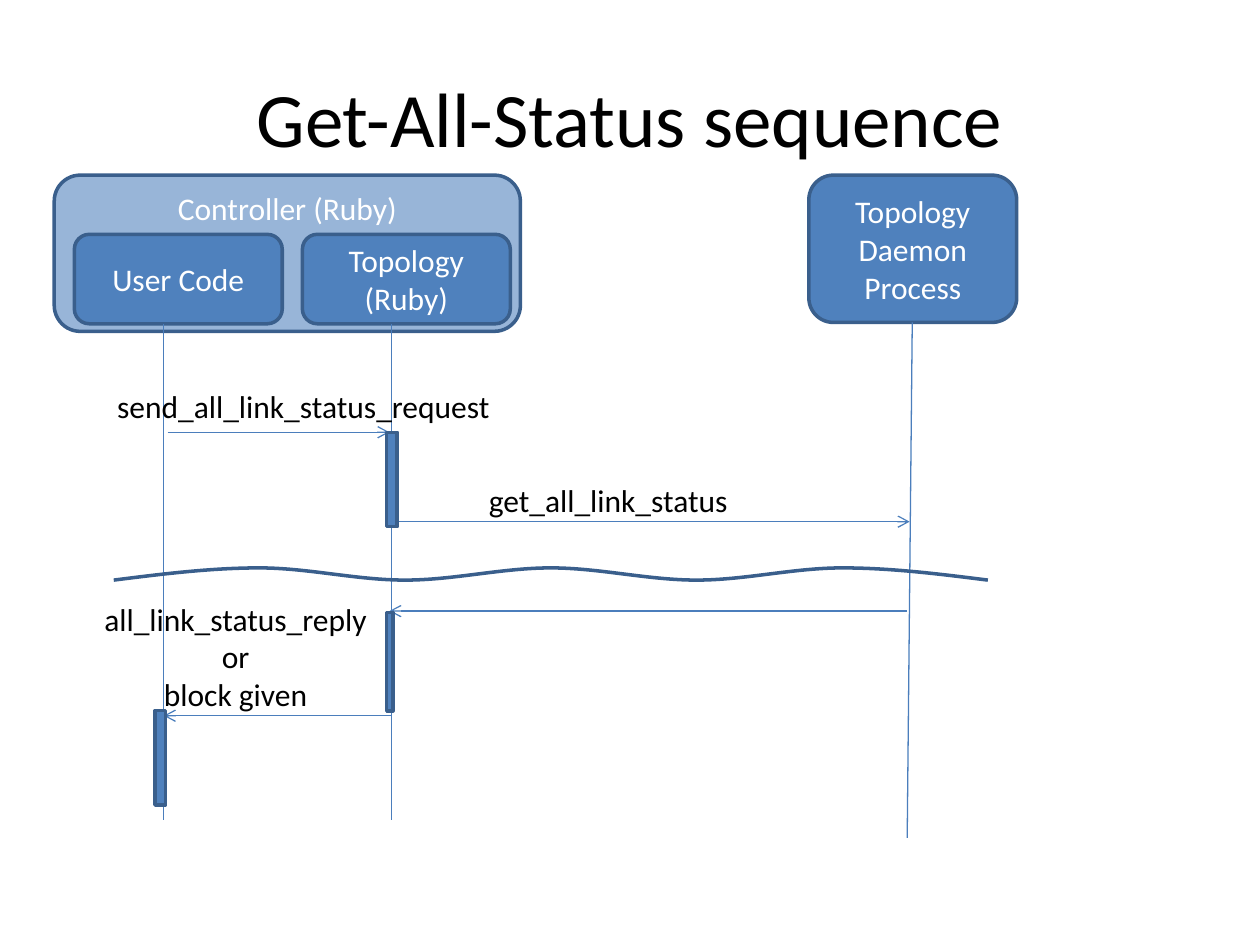
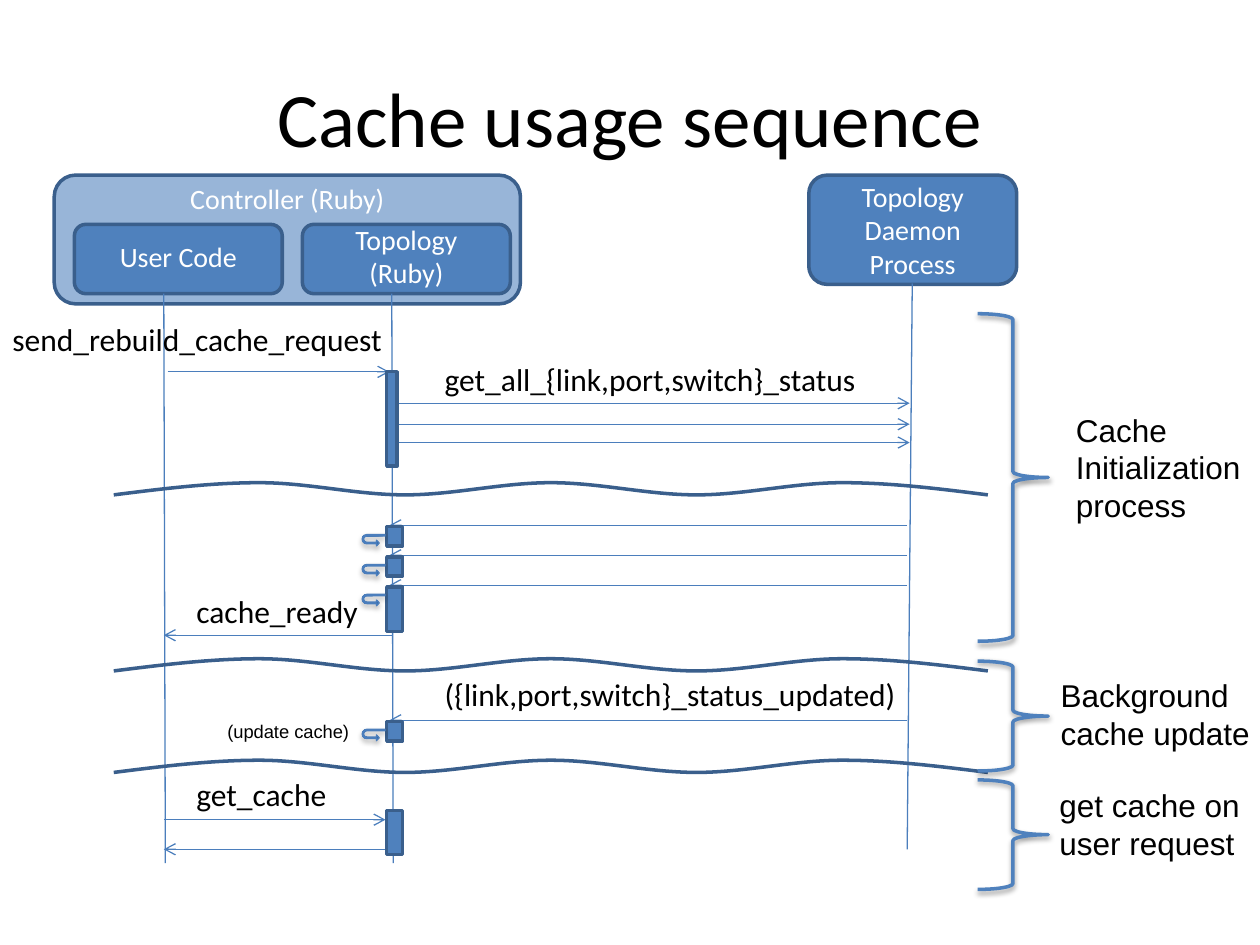
from pptx import Presentation
from pptx.dml.color import RGBColor
from pptx.enum.shapes import MSO_CONNECTOR, MSO_SHAPE
from pptx.enum.text import MSO_ANCHOR, MSO_AUTO_SIZE, PP_ALIGN
from pptx.oxml.ns import qn
from pptx.util import Pt
from lxml.etree import SubElement

BLUE, EDGE, LINE = "4F81BD", "3A5F8C", "4B7EBC"
WHITE, BLACK = "FFFFFF", "000000"
LEFT, CENTER, RIGHT = PP_ALIGN.LEFT, PP_ALIGN.CENTER, PP_ALIGN.RIGHT

# Lifeline positions and the gap arrows leave beside them
USER, TOPO, DAEMON = 93.6, 223.9, 518.4
BAR_X = 221
TOPO_END, DAEMON_END = 222.5, 519.8

# A wave is six Bezier curves: 19 control points at equal steps
WAVE_STEP = 27.75
WAVE_Y = [7, 3.5, 0, 0] + [0, 7, 7, 7, 0, 0] * 2 + [0, 3.5, 7]

slides = [
    {
        "title": "Get-All-Status sequence",
        "size": 18, "inset": 3.6,
        "controller_h": 89.3, "daemon_h": 84.2, "inner": (133.9, 51.1),
        "lifelines": [(USER, 185, USER, 468.7),
                      (521.3, 184.3, DAEMON, 478.8),
                      (TOPO, 185, TOPO, 468.7)],
        # start x, end x, y
        "messages": [(95.8, TOPO_END, 247), (TOPO, DAEMON_END, 298.1),
                     (DAEMON, TOPO_END, 349.2), (TOPO, USER, 409)],
        # left, top, width, height
        "bars": [(BAR_X, 247, 6, 54), (BAR_X, 350, 3.6, 56.2),
                 (88.6, 406, 6, 54)],
        "waves": [324.5],
        "updates": [],
        "braces": [],
        # left, top, width, text, size, font, alignment
        "labels": [
            (272.2, 271.4, 152.6, "get_all_link_status", 18, "Calibri", LEFT),
            (59.8, 217.4, 229.7, "send_all_link_status_request", 18, "Calibri", LEFT),
            (51.1, 339.1, 167, "all_link_status_reply\nor\nblock given", 18,
             "Calibri", CENTER),
        ],
    },
    {
        "title": "Cache usage sequence",
        "size": 16, "inset": 0,
        "controller_h": 73.6, "daemon_h": 62.4, "inner": (128.2, 39.6),
        "lifelines": [(USER, 167.8, 94.5, 493.2),
                      (521.3, 162, DAEMON, 485.3),
                      (TOPO, 167.8, 224.7, 493.2)],
        "messages": [(95.8, TOPO_END, 212.5), (TOPO, DAEMON_END, 230.4),
                     (TOPO, DAEMON_END, 242.4), (TOPO, DAEMON_END, 252.9),
                     (DAEMON, TOPO_END, 300.2), (DAEMON, TOPO_END, 317.3),
                     (DAEMON, TOPO_END, 334.4), (TOPO, USER, 363),
                     (DAEMON, TOPO_END, 411.6), (USER, 220.3, 468.4),
                     (TOPO, USER, 485.3)],
        "bars": [(BAR_X, 212.4, 6, 54), (BAR_X, 301, 9, 11),
                 (BAR_X, 318.2, 9, 11), (BAR_X, 335.4, 9, 25.4),
                 (BAR_X, 412.4, 9, 11), (BAR_X, 463, 9, 25.2)],
        "waves": [275.8, 376.4, 434.4],
        "updates": [302.2, 319.3, 336.4, 413.5],
        # top, height
        "braces": [(179.3, 187.2), (377.8, 62.8), (445.7, 62.6)],
        "labels": [
            (247, 202.3, 252.7, "get_all_{link,port,switch}_status", 18,
             "Calibri", LEFT),
            (105.1, 334.8, 108.7, "cache_ready", 18, "Calibri", LEFT),
            (0, 179.3, 229.7, "send_rebuild_cache_request", 18, "Calibri", LEFT),
            (118.1, 408.2, 88.6, "(update cache)", 10.5, "Arial", RIGHT),
            (247, 382.3, 276.5, "({link,port,switch}_status_updated)", 18,
             "Calibri", LEFT),
            (105.1, 439.2, 90, "get_cache", 18, "Calibri", LEFT),
            (599, 383, 123.8, "Background\ncache update", 18, "Arial", LEFT),
            (598.3, 445.7, 118.8, "get cache on\nuser request", 18, "Arial", LEFT),
            (607.7, 231.1, 109.4, "Cache\nInitialization\nprocess", 18, "Arial", LEFT),
        ],
    },
]


def paint(sp, fill=None, line=EDGE, width=2, shadow=None):
    """Set fill, outline and an optional soft shadow (distance, opacity)."""
    if fill:
        sp.fill.solid()
        sp.fill.fore_color.rgb = RGBColor.from_string(fill)
    else:
        sp.fill.background()
    sp.line.color.rgb = RGBColor.from_string(line)
    sp.line.width = Pt(width)
    sp.shadow.inherit = False
    if shadow:
        effects = sp._element.spPr.find(qn("a:effectLst"))
        outer = SubElement(effects, qn("a:outerShdw"), blurRad=str(Pt(3.1)),
                           dist=str(Pt(shadow[0])), dir="5400000", rotWithShape="0")
        color = SubElement(outer, qn("a:srgbClr"), val=BLACK)
        SubElement(color, qn("a:alpha"), val=str(shadow[1] * 1000))


def write(sp, text, size, font="Calibri", color=BLACK, align=CENTER):
    """Fill a shape with text, one paragraph a line, and format it."""
    sp.text_frame.text = text
    for p in sp.text_frame.paragraphs:
        p.alignment = align
        for r in p.runs:
            r.font.size = Pt(size)
            r.font.name = font
            r.font.color.rgb = RGBColor.from_string(color)


prs = Presentation()
prs.slide_width, prs.slide_height = Pt(720), Pt(540)

for data in slides:
    s = prs.slides.add_slide(prs.slide_layouts[5])
    title = s.shapes.title
    title.left, title.top, title.width, title.height = Pt(36), Pt(21.6), Pt(648), Pt(90)
    title.text_frame.vertical_anchor = MSO_ANCHOR.MIDDLE
    write(title, data["title"], 44)

    # Participants
    inner_top, inner_h = data["inner"]
    inset = data["inset"]
    participants = [
        ("Controller (Ruby)", 31, 100.1, 266.4, data["controller_h"], inset),
        ("Topology Daemon Process", 462.2, 100.1, 118.8, data["daemon_h"], 3.6),
        ("User Code", 42.5, inner_top, 118.8, inner_h, inset),
        ("Topology (Ruby)", 172.8, inner_top, 118.8, inner_h, inset),
    ]
    for name, x, y, w, h, top_inset in participants:
        sp = s.shapes.add_shape(MSO_SHAPE.ROUNDED_RECTANGLE, Pt(x), Pt(y), Pt(w), Pt(h))
        paint(sp, BLUE)
        write(sp, name, data["size"], color=WHITE)
        sp.text_frame.margin_top = Pt(top_inset)
        if name.startswith("Controller"):
            sp.text_frame.vertical_anchor = MSO_ANCHOR.TOP
            color = sp._element.spPr.find(qn("a:solidFill"))[0]
            SubElement(color, qn("a:alpha"), val="58000")

    # Lifelines, then messages with arrowheads
    messages = [(x1, y, x2, y) for x1, x2, y in data["messages"]]
    for ends in data["lifelines"] + messages:
        line = s.shapes.add_connector(MSO_CONNECTOR.STRAIGHT, *[Pt(v) for v in ends])
        line.line.color.rgb = RGBColor.from_string(LINE)
        line.line.width = Pt(0.75)
        if ends in messages:
            SubElement(line.line._get_or_add_ln(), qn("a:tailEnd"), type="arrow")
        SubElement(line._element.spPr, qn("a:effectLst"))

    # Time breaks: every three straight segments become one Bezier curve
    for y in data["waves"]:
        points = [(Pt(65 + WAVE_STEP * i), Pt(y + dy)) for i, dy in enumerate(WAVE_Y)]
        builder = s.shapes.build_freeform(*points[0])
        builder.add_line_segments(points[1:], close=False)
        sp = builder.convert_to_shape()
        paint(sp)
        segments = list(sp._element.iter(qn("a:lnTo")))
        outline = segments[0].getparent()
        for i in range(0, len(segments), 3):
            curve = SubElement(outline, qn("a:cubicBezTo"))
            for segment in segments[i:i + 3]:
                curve.append(segment[0])
                outline.remove(segment)

    # Activation bars
    for box in data["bars"]:
        sp = s.shapes.add_shape(MSO_SHAPE.RECTANGLE, *[Pt(v) for v in box])
        paint(sp, BLUE)

    # Cache update loops
    for y in data["updates"]:
        sp = s.shapes.add_shape(MSO_SHAPE.U_TURN_ARROW, Pt(210.2), Pt(y), Pt(6.5), Pt(13))
        for i, value in enumerate((0.131, 0.25, 0.25, 0.438, 0.75)):
            sp.adjustments[i] = value
        sp.rotation = 270
        sp._element.spPr.find(qn("a:xfrm")).set("flipH", "1")
        paint(sp, BLUE, LINE, 0.75, shadow=(1.8, 35))
        sp.fill.gradient()
        sp.fill.gradient_angle = 90
        for stop, color in zip(sp.fill.gradient_stops, ("2F5F99", "3A7CCB")):
            stop.color.rgb = RGBColor.from_string(color)

    # Phase braces
    for y, h in data["braces"]:
        sp = s.shapes.add_shape(MSO_SHAPE.RIGHT_BRACE, Pt(558.7), Pt(y), Pt(40.3), Pt(h))
        paint(sp, line=BLUE, shadow=(1.6, 38))

    # Message and phase labels
    for x, y, w, text, size, font, align in data["labels"]:
        h = 7.2 + 1.21 * size * len(text.split("\n"))
        sp = s.shapes.add_textbox(Pt(x), Pt(y), Pt(w), Pt(h))
        write(sp, text, size, font, align=align)
        sp.text_frame.word_wrap = False
        sp.text_frame.auto_size = MSO_AUTO_SIZE.SHAPE_TO_FIT_TEXT

prs.save("out.pptx")
